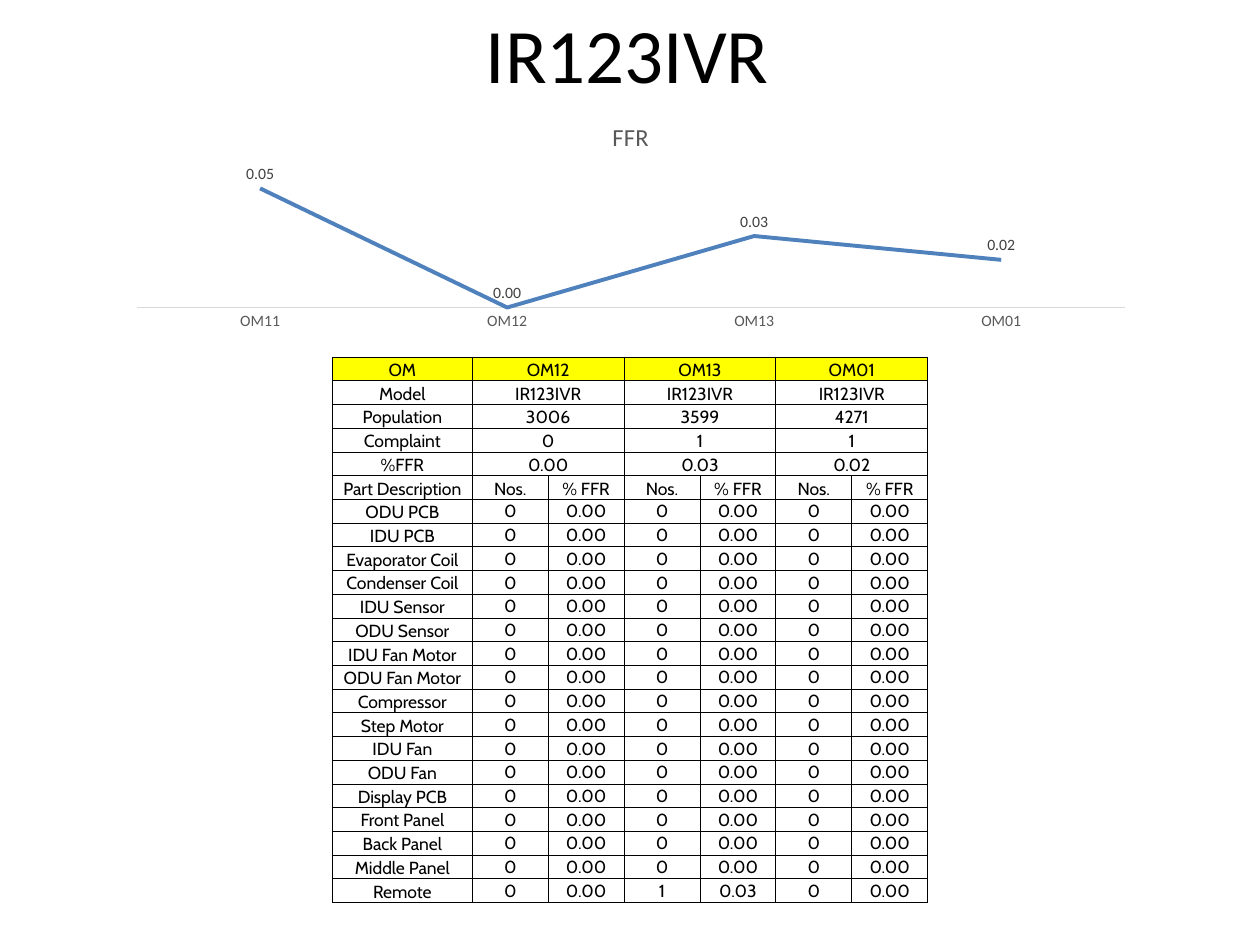
from lxml import etree
from pptx import Presentation
from pptx.chart.data import CategoryChartData
from pptx.dml.color import RGBColor
from pptx.enum.chart import XL_CHART_TYPE, XL_LABEL_POSITION, XL_MARKER_STYLE, XL_TICK_MARK
from pptx.enum.text import MSO_ANCHOR, PP_ALIGN
from pptx.oxml import parse_xml
from pptx.oxml.ns import nsdecls, qn
from pptx.util import Cm, Pt

BLACK = RGBColor(0x00, 0x00, 0x00)
YELLOW = RGBColor(0xFF, 0xFF, 0x00)
BLUE = RGBColor(0x4F, 0x81, 0xBD)
LIGHT_GRAY = RGBColor(0xD9, 0xD9, 0xD9)
GRAY = RGBColor(0x59, 0x59, 0x59)
DARK_GRAY = RGBColor(0x40, 0x40, 0x40)

CENTER = PP_ALIGN.CENTER
MIDDLE, BOTTOM = MSO_ANCHOR.MIDDLE, MSO_ANCHOR.BOTTOM
LINE, ABOVE = XL_CHART_TYPE.LINE, XL_LABEL_POSITION.ABOVE
NO_MARKER, NO_TICK = XL_MARKER_STYLE.NONE, XL_TICK_MARK.NONE

MODEL = "IR123IVR"
SUMMARY = [
    ("OM", "OM12", "OM13", "OM01"),
    ("Model", MODEL, MODEL, MODEL),
    ("Population", "3006", "3599", "4271"),
    ("Complaint", "0", "1", "1"),
    ("%FFR", "0.00", "0.03", "0.02"),
]
PARTS = [
    "ODU PCB", "IDU PCB", "Evaporator Coil", "Condenser Coil", "IDU Sensor",
    "ODU Sensor", "IDU Fan Motor", "ODU Fan Motor", "Compressor", "Step Motor",
    "IDU Fan", "ODU Fan", "Display PCB", "Front Panel", "Back Panel", "Middle Panel",
]
NO_FAILURE = ("0", "0.00")
DETAIL = [
    ("Part Description", *("Nos.", "% FFR") * 3),
    *((part, *NO_FAILURE * 3) for part in PARTS),
    ("Remote", *NO_FAILURE, "1", "0.03", *NO_FAILURE),
]


class SlideBuilder:
    heading_font = "Calibri"
    table_font = "Cabin"

    def __init__(self, slide):
        self.slide = slide

    def style(self, font, name, size, color):
        font.name, font.size, font.bold = name, Pt(size), False
        font.color.rgb = color

    def centered_text(self, text_frame, text, name, size, color=BLACK):
        paragraph = text_frame.paragraphs[0]
        paragraph.alignment = CENTER
        run = paragraph.add_run()
        run.text = text
        self.style(run.font, name, size, color)

    def title(self, text, left, top, width, height):
        text_frame = self.slide.shapes.add_textbox(left, top, width, height).text_frame
        text_frame.word_wrap = True
        text_frame.vertical_anchor = MIDDLE
        self.centered_text(text_frame, text, self.heading_font, 44)

    def line_chart(self, title, categories, values, left, top, width, height):
        data = CategoryChartData(number_format="0.00")
        data.categories = categories
        data.add_series(title, values)
        chart = self.slide.shapes.add_chart(LINE, left, top, width, height, data).chart
        self.style(chart.font, self.heading_font, 10, BLACK)
        chart.has_legend = False
        self.centered_text(chart.chart_title.text_frame, title, self.heading_font, 14, GRAY)
        chart.chart_title.include_in_layout = False

        value_axis = chart.value_axis
        value_axis.minimum_scale, value_axis.maximum_scale = 0, 0.06
        value_axis.has_major_gridlines = False
        value_axis.visible = False
        category_axis = chart.category_axis
        category_axis.major_tick_mark = category_axis.minor_tick_mark = NO_TICK
        category_axis.format.line.color.rgb = LIGHT_GRAY
        category_axis.format.line.width = Pt(0.75)
        self.style(category_axis.tick_labels.font, self.heading_font, 9, GRAY)

        plot = chart.plots[0]
        plot.vary_by_categories = False
        series = plot.series[0]
        series.smooth = False
        series.marker.style = NO_MARKER
        series.format.line.color.rgb = BLUE
        series.format.line.width = Pt(2.25)
        labels = series.data_labels
        labels.show_value = True
        labels.position = ABOVE
        labels.number_format, labels.number_format_is_linked = "0.00", False
        self.style(labels.font, self.heading_font, 9, DARK_GRAY)
        self.place_plot(chart, x=0.02, y=0.26, w=0.96, h=0.62)

    def place_plot(self, chart, **fractions):
        """Fix the inner plot area as fractions of the chart's size."""
        plot_area = chart.plots[0]._element.getparent()
        for old_layout in plot_area.findall(qn("c:layout")):
            plot_area.remove(old_layout)
        sizes = "".join(f'<c:{key} val="{value}"/>' for key, value in fractions.items())
        plot_area.insert(0, parse_xml(
            f'<c:layout {nsdecls("c")}><c:manualLayout><c:layoutTarget val="inner"/>'
            f'<c:xMode val="edge"/><c:yMode val="edge"/>{sizes}</c:manualLayout></c:layout>'))

    def border(self, cell):
        properties = cell._tc.get_or_add_tcPr()
        for side in ("lnL", "lnR", "lnT", "lnB"):
            line = etree.SubElement(properties, qn(f"a:{side}"), w=str(Pt(0.5)))
            fill = etree.SubElement(line, qn("a:solidFill"))
            etree.SubElement(fill, qn("a:srgbClr"), val=str(BLACK))

    def cell(self, cell, text, anchor):
        cell.vertical_anchor = anchor
        cell.margin_left = cell.margin_right = cell.margin_top = Cm(0.02)
        cell.margin_bottom = 0
        self.centered_text(cell.text_frame, text, self.table_font, 10)

    def table(self, summary, detail, left, top, column_widths, height):
        """Draw summary rows, whose values span two columns, above detail rows."""
        row_count = len(summary) + len(detail)
        table = self.slide.shapes.add_table(
            row_count, len(column_widths), left, top, sum(column_widths), height).table
        table.first_row = table.horz_banding = False
        for column, width in zip(table.columns, column_widths):
            column.width = width
        for index, row in enumerate(table.rows):
            row.height = int(height / row_count)
            for cell in row.cells:
                self.border(cell)
                if index == 0:
                    cell.fill.solid()
                    cell.fill.fore_color.rgb = YELLOW
                else:
                    cell.fill.background()

        for row, (label, *values) in enumerate(summary):
            self.cell(table.cell(row, 0), label, BOTTOM)
            for column, value in zip(range(1, len(column_widths), 2), values):
                cell = table.cell(row, column)
                cell.merge(table.cell(row, column + 1))
                self.cell(cell, value, BOTTOM)
        for row, texts in enumerate(detail, len(summary)):
            for column, text in enumerate(texts):
                is_heading = column == 0 or row == len(summary)
                self.cell(table.cell(row, column), text, BOTTOM if is_heading else MIDDLE)


def main():
    presentation = Presentation()
    presentation.slide_width, presentation.slide_height = Cm(25.4), Cm(19.05)
    builder = SlideBuilder(presentation.slides.add_slide(presentation.slide_layouts[6]))
    builder.title(MODEL, Cm(1.22), Cm(0.43), Cm(22.86), Cm(1.27))
    builder.table(SUMMARY, DETAIL, Cm(6.7), Cm(7.2), [Cm(2.82)] + [Cm(1.53)] * 6, Cm(11))
    builder.line_chart("FFR", ["OM11", "OM12", "OM13", "OM01"], [0.05, 0, 0.03, 0.02],
                       Cm(2.34), Cm(2.11), Cm(20.75), Cm(4.65))
    presentation.save("out.pptx")


if __name__ == "__main__":
    main()
